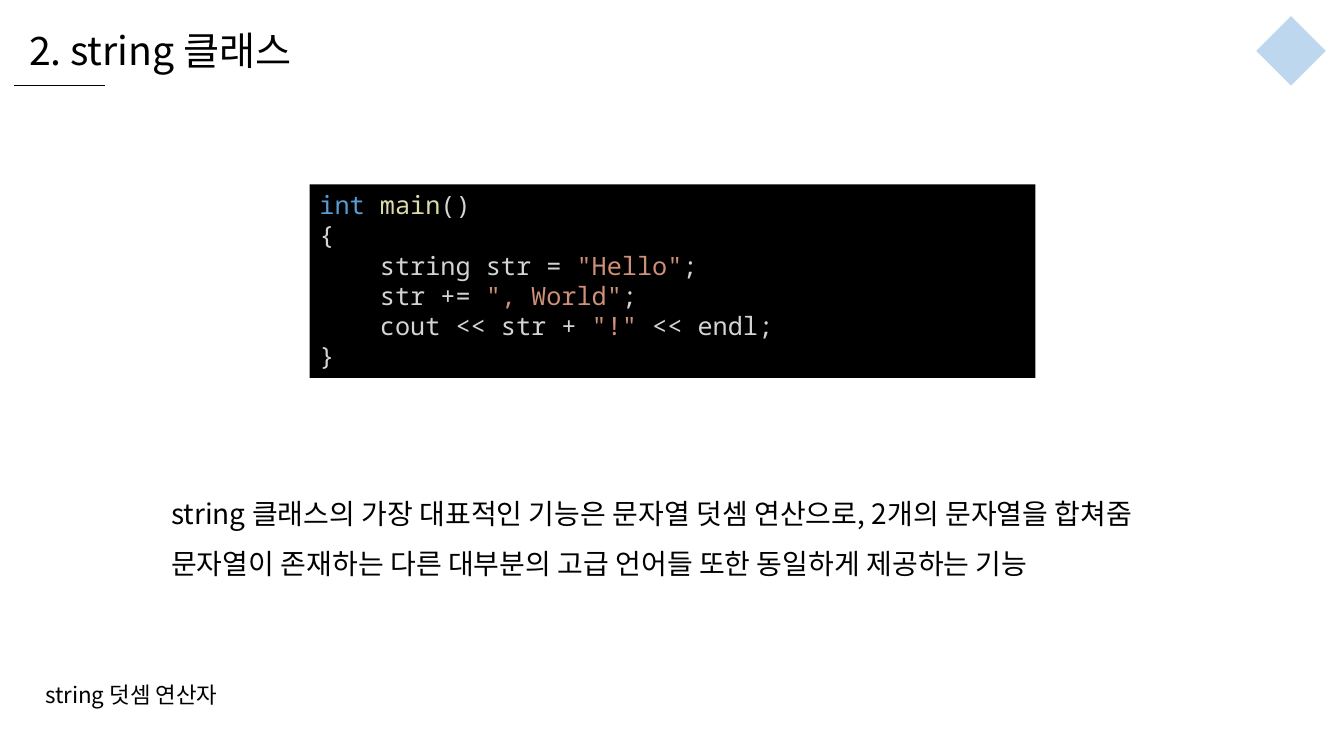
from dataclasses import dataclass

from lxml.etree import SubElement
from pptx import Presentation
from pptx.dml.color import RGBColor
from pptx.enum.shapes import MSO_CONNECTOR as Conn, MSO_SHAPE as Shape
from pptx.enum.text import MSO_ANCHOR as Anchor, MSO_AUTO_SIZE as Fit, PP_ALIGN as Align
from pptx.oxml.ns import qn
from pptx.util import Inches, Pt


@dataclass(frozen=True)
class Theme:
    sans: str = "Noto Sans CJK KR"
    mono: str = "Noto Sans Mono"
    ink: str = "000000"
    accent: str = "BDD7EE"
    plain: str = "D4D4D4"
    keyword: str = "569CD6"
    function: str = "DCDCAA"
    string: str = "CE9178"
    title: int = 28
    body: int = 20
    code: int = 18
    caption: int = 16
    rule: float = 0.5
    code_indent: float = 0.6


class Deck:
    """Draws elements on the current slide in one theme."""

    def __init__(self, theme):
        self.theme = theme
        self.prs = Presentation()
        self.prs.slide_width, self.prs.slide_height = Inches(13.33), Inches(7.5)

    def add_slide(self):
        self.s = self.prs.slides.add_slide(self.prs.slide_layouts[6])

    def run(self, p, text, font, size, color):
        r = p.add_run()
        r.text = text
        r.font.name, r.font.size = font, Pt(size)
        r.font.color.rgb = RGBColor.from_string(color)
        SubElement(r.font._element, qn("a:ea"), typeface=font)

    def paragraphs(self, tf, count):
        return [tf.paragraphs[0]] + [tf.add_paragraph() for _ in range(count - 1)]

    def text(self, box, lines, size, spacing=None):
        tf = self.s.shapes.add_textbox(*map(Inches, box)).text_frame
        tf.word_wrap, tf.auto_size = False, Fit.SHAPE_TO_FIT_TEXT
        for p, line in zip(self.paragraphs(tf, len(lines)), lines):
            p.line_spacing = spacing
            self.run(p, line, self.theme.sans, size, self.theme.ink)

    def shape(self, kind, box, fill):
        sp = self.s.shapes.add_shape(kind, *map(Inches, box))
        sp.shadow.inherit = False
        sp.fill.solid()
        sp.fill.fore_color.rgb = RGBColor.from_string(fill)
        sp.line.fill.background()
        return sp

    def line(self, x1, y1, x2, y2):
        ln = self.s.shapes.add_connector(Conn.STRAIGHT, *map(Inches, (x1, y1, x2, y2)))
        ln.line.color.rgb = RGBColor.from_string(self.theme.ink)
        ln.line.width = Pt(self.theme.rule)
        SubElement(ln._element.spPr, qn("a:effectLst"))

    def code(self, box, lines):
        t = self.theme
        tf = self.shape(Shape.RECTANGLE, box, t.ink).text_frame
        tf.word_wrap, tf.auto_size = True, Fit.SHAPE_TO_FIT_TEXT
        tf.vertical_anchor = Anchor.TOP
        for p, (level, tokens) in zip(self.paragraphs(tf, len(lines)), lines):
            p.alignment = Align.LEFT
            p._p.get_or_add_pPr().set("marL", str(Inches(level * t.code_indent)))
            for text, color in tokens:
                self.run(p, text, t.mono, t.code, color)


theme = Theme()
deck = Deck(theme)
deck.add_slide()
deck.text((0.19, 0.21, 3.02, 0.57), ["2. string 클래스"], theme.title)
deck.line(0.14, 0.85, 1.04, 0.85)
deck.text((1.6, 4.71, 10.13, 1.05), [
    "string 클래스의 가장 대표적인 기능은 문자열 덧셈 연산으로, 2개의 문자열을 합쳐줌",
    "문자열이 존재하는 다른 대부분의 고급 언어들 또한 동일하게 제공하는 기능",
], theme.body, 1.5)
deck.code((3.07, 1.83, 7.2, 1.92), [
    (0, [("int ", theme.keyword), ("main", theme.function), ("()", theme.plain)]),
    (0, [("{", theme.plain)]),
    (1, [("string str = ", theme.plain), ('"Hello"', theme.string), (";", theme.plain)]),
    (1, [("str += ", theme.plain), ('", World"', theme.string), (";", theme.plain)]),
    (1, [("cout << str + ", theme.plain), ('"!"', theme.string), (" << endl;", theme.plain)]),
    (0, [("}", theme.plain)]),
])
deck.shape(Shape.DIAMOND, (12.46, 0.16, 0.69, 0.69), theme.accent)
deck.text((0.35, 6.71, 2.03, 0.37), ["string 덧셈 연산자"], theme.caption)
deck.prs.save("out.pptx")
